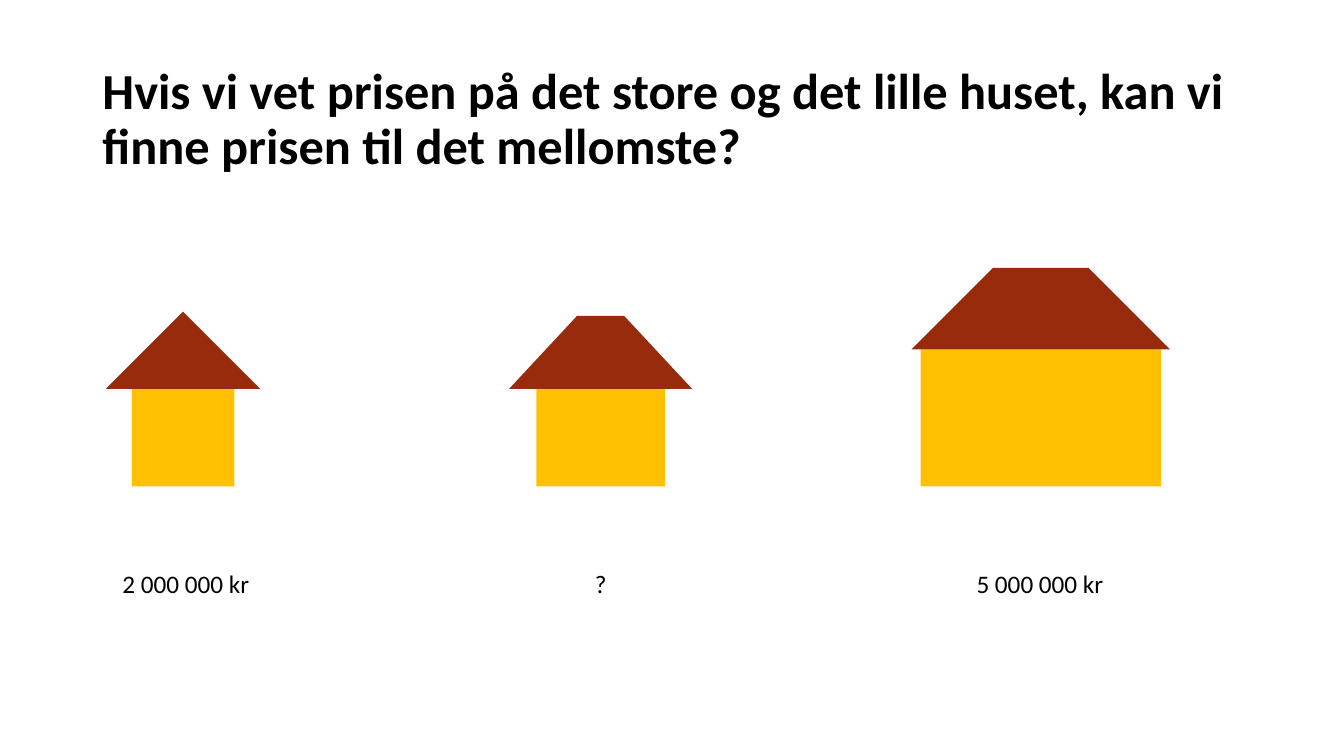
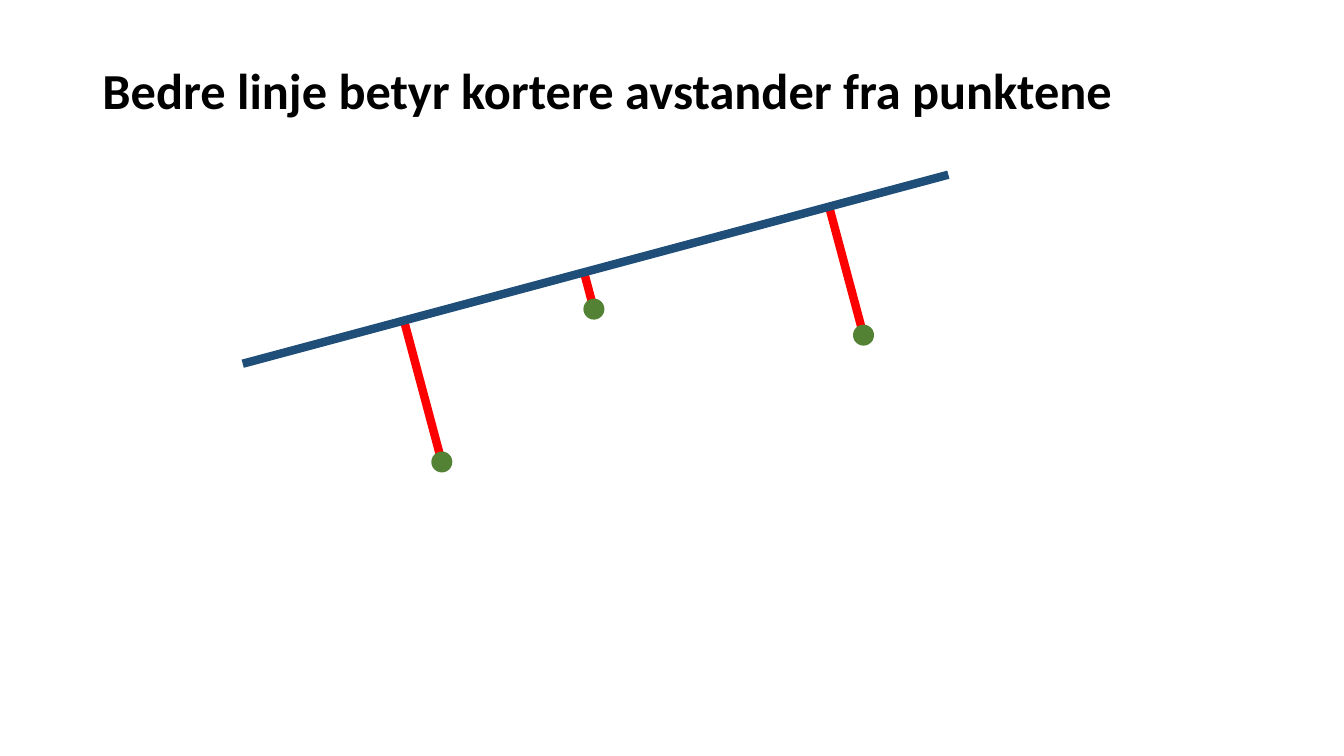
"""Two slides on regression: house prices, and distances from points to a line."""
from dataclasses import dataclass

from lxml import etree
from pptx import Presentation
from pptx.dml.color import RGBColor
from pptx.enum.shapes import MSO_CONNECTOR, MSO_SHAPE
from pptx.enum.text import MSO_ANCHOR, PP_ALIGN
from pptx.oxml.ns import qn
from pptx.util import Inches, Pt

STRAIGHT = MSO_CONNECTOR.STRAIGHT
RECTANGLE = MSO_SHAPE.RECTANGLE
TRIANGLE = MSO_SHAPE.ISOSCELES_TRIANGLE
TRAPEZOID = MSO_SHAPE.TRAPEZOID
OVAL = MSO_SHAPE.OVAL
TOP = MSO_ANCHOR.TOP
LEFT, CENTER = PP_ALIGN.LEFT, PP_ALIGN.CENTER

SLIDE_WIDTH, SLIDE_HEIGHT = Inches(13.33), Inches(7.5)
COLUMNS, ROWS = 160, 90
TITLE_ONLY = 5
TITLE_AREA = (11, 7.3, 138, 17.4)
GROUND_ROW = 57.9
LABEL_ROW, LABEL_HEIGHT = 67.1, 4.8
DOT_SIZE = 2.5


@dataclass(frozen=True)
class Theme:
    """Colours, font and sizes shared by the slides."""
    font: str = "Calibri"
    title_size: Pt = Pt(36)
    label_size: Pt = Pt(18)
    line_width: Pt = Pt(6)
    text: RGBColor = RGBColor(0x00, 0x00, 0x00)
    wall: RGBColor = RGBColor(0xFF, 0xC0, 0x00)
    roof: RGBColor = RGBColor(0x99, 0x2B, 0x0D)
    trend: RGBColor = RGBColor(0x1F, 0x4E, 0x79)
    distance: RGBColor = RGBColor(0xFF, 0x00, 0x00)
    point: RGBColor = RGBColor(0x54, 0x82, 0x35)


@dataclass(frozen=True)
class House:
    """A house's centre column and its wall and roof sizes in grid cells."""
    center: float
    wall: tuple
    roof: tuple
    ridge: float


@dataclass(frozen=True)
class Label:
    """A price with the centre and width of its box and its alignment."""
    text: str
    center: float
    width: float
    align: PP_ALIGN


THEME = Theme()

HOUSES = (
    House(21.8, (12.2, 11.6), (18.4, 9.2), 0),
    House(71.5, (15.3, 11.6), (21.8, 8.7), 5.6),
    House(123.9, (28.6, 16.3), (30.8, 9.7), 11.4),
)
PRICES = (
    Label("2 000 000 kr", 31, 35.2, LEFT),
    Label("?", 71.5, 15.3, CENTER),
    Label("5 000 000 kr", 123.8, 35.2, CENTER),
)
TREND_LINE = ((28.9, 43.3), (112.9, 20.8))
POINTS = ((52.6, 55), (70.7, 36.8), (102.8, 39.9))


def col(count):
    """Return the width of a number of grid columns."""
    return round(SLIDE_WIDTH * count / COLUMNS)


def row(count):
    """Return the height of a number of grid rows."""
    return round(SLIDE_HEIGHT * count / ROWS)


def grid_area(left, top, width, height):
    """Convert an area in grid cells to slide lengths."""
    return col(left), row(top), col(width), row(height)


def style_paragraph(paragraph, size, align, bold=False):
    """Apply the theme's font to a paragraph."""
    paragraph.alignment = align
    font = paragraph.font
    font.name, font.size, font.bold = THEME.font, size, bold
    font.color.rgb = THEME.text


def add_titled_slide(deck, text):
    """Add a slide with the shared title style."""
    slide = deck.slides.add_slide(deck.slide_layouts[TITLE_ONLY])
    title = slide.shapes.title
    title.left, title.top, title.width, title.height = grid_area(*TITLE_AREA)
    frame = title.text_frame
    frame.text = text
    frame.word_wrap = True
    frame.vertical_anchor = TOP
    heading = frame.paragraphs[0]
    heading.line_spacing = 0.9
    style_paragraph(heading, THEME.title_size, LEFT, bold=True)
    return slide


def add_solid(slide, kind, area, color):
    """Add a filled preset shape without outline or shadow."""
    solid = slide.shapes.add_shape(kind, *grid_area(*area))
    solid.shadow.inherit = False
    solid.fill.solid()
    solid.fill.fore_color.rgb = color
    solid.line.fill.background()
    return solid


def add_line(slide, start, end, color):
    """Add a thick straight line between two grid positions."""
    line = slide.shapes.add_connector(
        STRAIGHT, col(start[0]), row(start[1]), col(end[0]), row(end[1]))
    line.line.color.rgb = color
    line.line.width = THEME.line_width
    etree.SubElement(line._element.spPr, qn("a:effectLst"))


def add_house(slide, house):
    """Stand a house on the ground row, with a pointed or ridged roof."""
    wall_width, wall_height = house.wall
    roof_width, roof_height = house.roof
    eaves = GROUND_ROW - wall_height
    add_solid(slide, RECTANGLE,
              (house.center - wall_width / 2, eaves, wall_width, wall_height),
              THEME.wall)
    roof = add_solid(slide, TRAPEZOID if house.ridge else TRIANGLE,
                     (house.center - roof_width / 2, eaves - roof_height,
                      roof_width, roof_height), THEME.roof)
    if house.ridge:
        roof.adjustments[0] = (roof_width - house.ridge) / 2 / roof_height


def add_label(slide, label):
    """Add a price in the row below the houses."""
    box = slide.shapes.add_textbox(*grid_area(
        label.center - label.width / 2, LABEL_ROW, label.width, LABEL_HEIGHT))
    frame = box.text_frame
    frame.word_wrap = True
    frame.text = label.text
    style_paragraph(frame.paragraphs[0], THEME.label_size, label.align)


def nearest_on_line(point, start, end):
    """Return the foot of the perpendicular from a point to a line."""
    run, rise = end[0] - start[0], end[1] - start[1]
    along = (point[0] - start[0]) * run + (point[1] - start[1]) * rise
    share = along / (run ** 2 + rise ** 2)
    return start[0] + share * run, start[1] + share * rise


def add_point(slide, point):
    """Add a round data point centred on a grid position."""
    x, y = point
    add_solid(slide, OVAL,
              (x - DOT_SIZE / 2, y - DOT_SIZE / 2, DOT_SIZE, DOT_SIZE),
              THEME.point)


def build_price_slide(deck):
    """Show three houses with their prices."""
    slide = add_titled_slide(
        deck, "Hvis vi vet prisen på det store og det lille huset, "
              "kan vi finne prisen til det mellomste?")
    for house in HOUSES:
        add_house(slide, house)
    for price in PRICES:
        add_label(slide, price)


def build_distance_slide(deck):
    """Show the distances from three points to a line."""
    slide = add_titled_slide(
        deck, "Bedre linje betyr kortere avstander fra punktene")
    for point in POINTS:
        add_line(slide, point, nearest_on_line(point, *TREND_LINE),
                 THEME.distance)
    add_line(slide, *TREND_LINE, THEME.trend)
    for point in POINTS:
        add_point(slide, point)


def main():
    """Build and save the presentation."""
    deck = Presentation()
    deck.slide_width, deck.slide_height = SLIDE_WIDTH, SLIDE_HEIGHT
    build_price_slide(deck)
    build_distance_slide(deck)
    deck.save("out.pptx")


if __name__ == "__main__":
    main()
